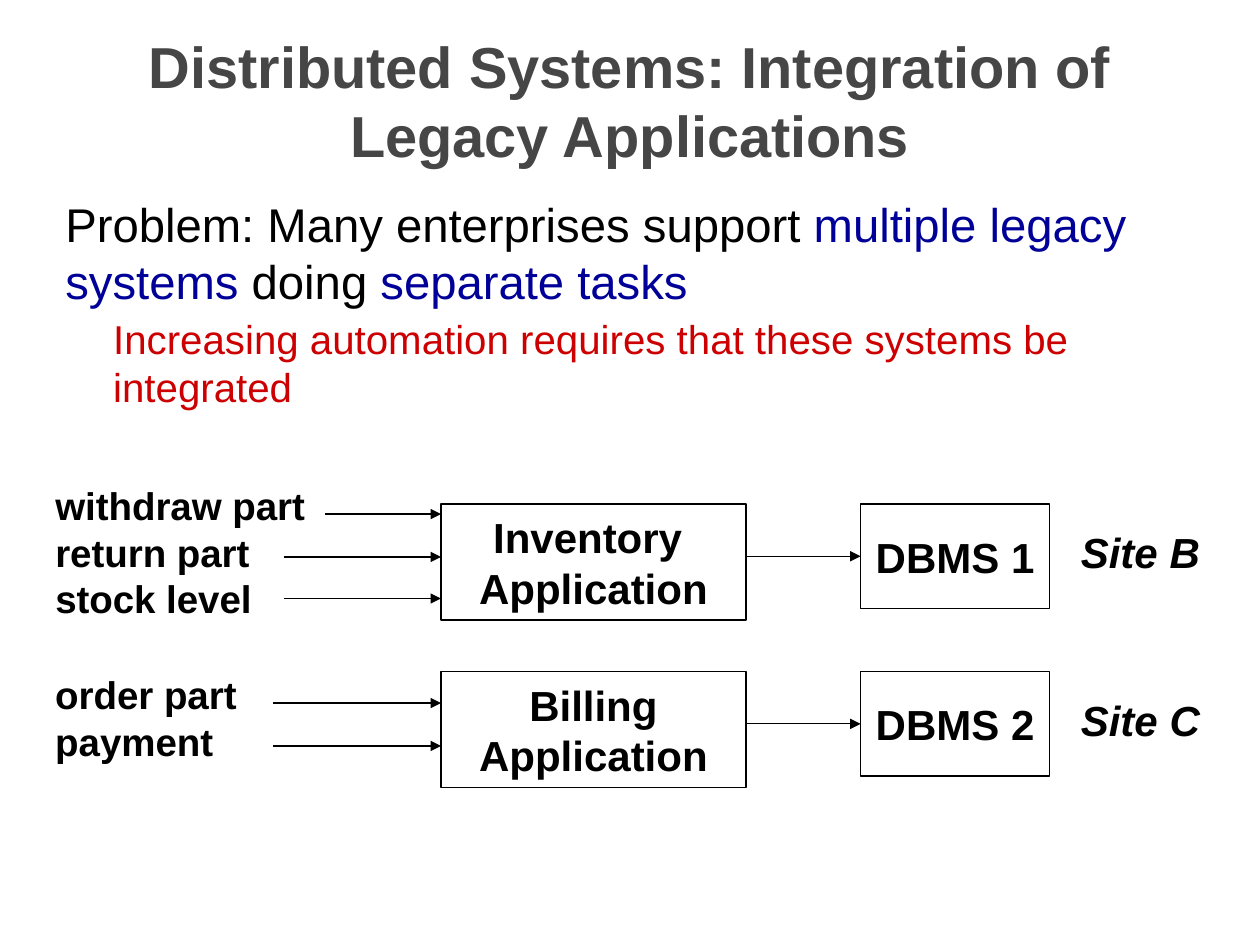
from pptx import Presentation, util as u
from pptx.dml.color import RGBColor
from pptx.enum import shapes, text
from pptx.oxml.ns import qn
from lxml import etree

THEME = dict(
    font="Arial", ink="000000", title="464646", key="000099", alert="CC0000",
    paper="FFFFFF", line=0.75,
    sizes=dict(title=33, lead=27, sub=23, box=24, list=22),
)

TITLE = "Distributed Systems: Integration of Legacy Applications"
LEAD = [
    ("Problem: Many enterprises support ", "ink"),
    ("multiple legacy systems", "key"),
    (" doing ", "ink"),
    ("separate tasks", "key"),
]
SUB = "Increasing automation requires that these systems be integrated"

# Arrows: (start x, offset below the top of the row)
ROWS = [
    dict(top=4, tasks=["withdraw part", "return part", "stock level"],
         list=(3.78, 2.18, 1.2), arrows=[(2.58, 0.08), (2.25, 0.42), (2.25, 0.75)],
         app=["Inventory ", "Application"], db="DBMS 1", site="Site B"),
    dict(top=5.33, tasks=["order part", "payment"],
         list=(5.28, 1.64, 0.84), arrows=[(2.17, 0.25), (2.17, 0.59)],
         app=["Billing", "Application"], db="DBMS 2", site="Site C"),
]
LIST_X, APP_X, DB_X, SITE_X = 0.34, 3.5, 6.83, 8.48
APP_W, APP_H, DB_W, DB_H = 2.42, 0.92, 1.5, 0.83
SITE_W, SITE_H = 1.25, 0.5

prs = Presentation()
prs.slide_width, prs.slide_height = u.Inches(10), u.Inches(7.5)
slide = prs.slides.add_slide(prs.slide_layouts[6])


def rgb(name):
    return RGBColor.from_string(THEME[name])


def add_run(para, words, size, color="ink", **style):
    run = para.add_run()
    run.text = words
    font = run.font
    font.name, font.size = THEME["font"], u.Pt(THEME["sizes"][size])
    font.color.rgb = rgb(color)
    for key, value in style.items():
        setattr(font, key, value)


def add_lines(frame, lines, size, align=text.PP_ALIGN.LEFT, color="ink", **style):
    """Write each line as a paragraph of its own."""
    for i, words in enumerate(lines):
        para = frame.add_paragraph() if i else frame.paragraphs[0]
        para.alignment = align
        add_run(para, words, size, color, **style)


def add_text(x, y, w, h, wrap=False):
    frame = slide.shapes.add_textbox(*map(u.Inches, (x, y, w, h))).text_frame
    frame.word_wrap = wrap
    return frame


def add_box(x, y, w, h, lines):
    box = slide.shapes.add_shape(shapes.MSO_SHAPE.RECTANGLE,
                                 *map(u.Inches, (x, y, w, h)))
    box.shadow.inherit = False
    box.fill.solid()
    box.fill.fore_color.rgb = rgb("paper")
    box.line.color.rgb = rgb("ink")
    box.line.width = u.Pt(THEME["line"])
    box.text_frame.word_wrap = False
    box.text_frame.vertical_anchor = text.MSO_ANCHOR.MIDDLE
    add_lines(box.text_frame, lines, "box", text.PP_ALIGN.CENTER, bold=True)
    return box


def add_arrow(x1, x2, y):
    arrow = slide.shapes.add_connector(shapes.MSO_CONNECTOR.STRAIGHT,
                                       *map(u.Inches, (x1, y, x2, y)))
    arrow.line.color.rgb = rgb("ink")
    arrow.line.width = u.Pt(THEME["line"])
    etree.SubElement(arrow.line._get_or_add_ln(), qn("a:tailEnd"), type="triangle")
    etree.SubElement(arrow._element.spPr, qn("a:effectLst"))
    return arrow


head = add_text(0.75, 0.17, 8.5, 1.25, wrap=True)
head.vertical_anchor = text.MSO_ANCHOR.MIDDLE
add_lines(head, [TITLE], "title", text.PP_ALIGN.CENTER, "title", bold=True)

body = add_text(0.42, 1.5, 9, 2, wrap=True)
for words, color in LEAD:
    add_run(body.paragraphs[0], words, "lead", color)
sub = body.add_paragraph()
sub.level = 1
sub.space_before = u.Pt(3.3)
props = sub._p.get_or_add_pPr()
props.set("marL", str(u.Inches(0.38)))
props.set("indent", "0")
add_run(sub, SUB, "sub", "alert")

for row in ROWS:
    top = row["top"]
    list_y, list_w, list_h = row["list"]
    add_lines(add_text(LIST_X, list_y, list_w, list_h), row["tasks"], "list", bold=True)
    add_box(APP_X, top, APP_W, APP_H, row["app"])
    store = add_box(DB_X, top, DB_W, DB_H, [row["db"]])
    for start, drop in row["arrows"]:
        add_arrow(start, APP_X, top + drop)
    add_arrow(APP_X + APP_W, DB_X, top + DB_H / 2).end_connect(store, 1)
    site = add_text(SITE_X, top + 0.13, SITE_W, SITE_H)
    add_lines(site, [row["site"]], "box", bold=True, italic=True)

prs.save("out.pptx")
